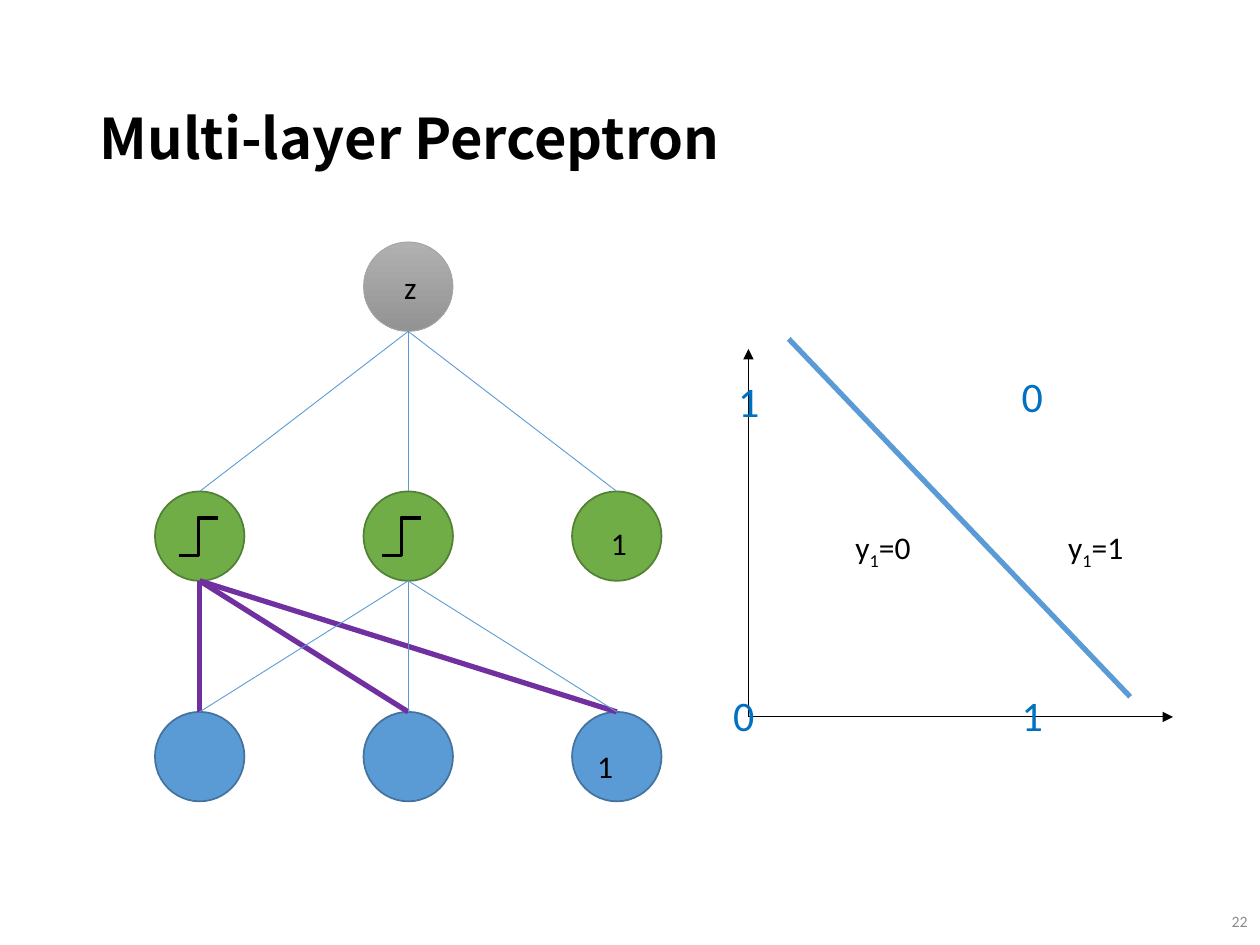
from dataclasses import dataclass

from lxml import etree
from pptx import Presentation
from pptx import util as u
from pptx.dml.color import RGBColor
from pptx.enum import shapes, text
from pptx.oxml.ns import qn


@dataclass(frozen=True)
class Theme:
    title_font: str = "Noto Sans CJK KR"
    body_font: str = "Calibri"
    black: str = "000000"
    muted: str = "8C8C8C"
    blue: str = "5B9BD5"
    blue_edge: str = "43739E"
    green: str = "70AD47"
    green_edge: str = "538035"
    purple: str = "7030A0"
    value: str = "0070C0"
    gray_top: str = "B0B0B0"
    gray_edge: str = "A5A5A5"
    gray_bottom: str = "939393"
    title_size: float = 32
    value_size: float = 24
    label_size: float = 18
    number_size: float = 9
    thin: float = 0.5
    edge: float = 1
    step: float = 2
    thick: float = 3


@dataclass(frozen=True)
class Label:
    left: float
    top: float
    width: float
    height: float
    words: str
    size: float
    color: str
    wrap: bool = False


THEME = Theme()
DIAMETER = 0.71
COLUMNS = (1.585, 3.24, 4.895)  # node centres
OUTPUT_TOP, HIDDEN_TOP, INPUT_TOP = 1.92, 3.9, 5.65
ORIGIN = (5.94, 5.69)

LABELS = (
    Label(3.11, 2.08, 0.3, 0.4, "z", THEME.label_size, THEME.black, True),
    Label(4.64, 5.88, 0.43, 0.4, "1", THEME.label_size, THEME.black, True),
    Label(4.75, 4.11, 0.34, 0.4, "1", THEME.label_size, THEME.black),
    Label(8.01, 2.89, 0.39, 0.5, "0", THEME.value_size, THEME.value),
    Label(5.76, 2.93, 0.39, 0.5, "1", THEME.value_size, THEME.value),
    Label(8.01, 5.42, 0.39, 0.5, "1", THEME.value_size, THEME.value),
    Label(5.72, 5.42, 0.45, 0.5, "0", THEME.value_size, THEME.value, True),
)


def rgb(color: str) -> RGBColor:
    return RGBColor.from_string(color)


def style_line(shape, color: str, width: float) -> None:
    shape.line.color.rgb = rgb(color)
    shape.line.width = u.Pt(width)


def style_font(font, name: str, size: float, color: str) -> None:
    font.name, font.size = name, u.Pt(size)
    font.color.rgb = rgb(color)


def add_node(slide, center: float, top: float, edge: str, width: float):
    shape = slide.shapes.add_shape(
        shapes.MSO_SHAPE.OVAL, u.Inches(center - DIAMETER / 2), u.Inches(top),
        u.Inches(DIAMETER), u.Inches(DIAMETER))
    shape.shadow.inherit = False
    style_line(shape, edge, width)
    return shape


def add_layer(slide, top: float, fill: str, edge: str) -> None:
    for center in COLUMNS:
        node = add_node(slide, center, top, edge, THEME.edge)
        node.fill.solid()
        node.fill.fore_color.rgb = rgb(fill)


def add_line(slide, start: tuple[float, float], end: tuple[float, float],
             color: str, width: float, arrow: bool = False) -> None:
    line = slide.shapes.add_connector(
        shapes.MSO_CONNECTOR.STRAIGHT, *(u.Inches(value) for value in start + end))
    style_line(line, color, width)
    if arrow:
        etree.SubElement(line.line._get_or_add_ln(), qn("a:tailEnd"), type="triangle")
    etree.SubElement(line._element.spPr, qn("a:effectLst"))


def add_fan(slide, lower_top: float, upper: float, upper_top: float,
            color: str, width: float) -> None:
    """Join every node of the lower layer to one node above it."""
    for center in COLUMNS:
        add_line(slide, (center, lower_top), (upper, upper_top + DIAMETER), color, width)


def add_step(slide, left: float, top: float) -> None:
    width, height = u.Inches(0.31), u.Inches(0.3)
    x, y = u.Inches(left), u.Inches(top)
    middle, bottom = x + width // 2, y + height
    builder = slide.shapes.build_freeform(x + width, y)
    builder.add_line_segments([(middle, y), (middle, bottom), (x, bottom)], close=False)
    shape = builder.convert_to_shape()
    shape.shadow.inherit = False
    shape.fill.background()
    style_line(shape, THEME.black, THEME.step)


def add_label(slide, label: Label):
    box = slide.shapes.add_textbox(
        *(u.Inches(value) for value in (label.left, label.top, label.width, label.height)))
    box.text_frame.word_wrap = label.wrap
    paragraph = box.text_frame.paragraphs[0]
    if label.words:
        paragraph.add_run().text = label.words
    style_font(paragraph.font, THEME.body_font, label.size, label.color)
    return box


def add_region(slide, left: float, result: str) -> None:
    box = add_label(slide, Label(left, 4.14, 0.73, 0.4, "", THEME.label_size, THEME.black))
    paragraph = box.text_frame.paragraphs[0]
    for words, baseline in (("y", 0), ("1", -25000), (result, 0)):
        run = paragraph.add_run()
        run.text = words
        if baseline:
            run._r.get_or_add_rPr().set("baseline", str(baseline))


def add_title(slide) -> None:
    title = slide.shapes.title
    title.left, title.top = u.Inches(0.69), u.Inches(0.4)
    title.width, title.height = u.Inches(8.62), u.Inches(1.45)
    title.text_frame.text = "Multi-layer Perceptron"
    title.text_frame.vertical_anchor = text.MSO_ANCHOR.MIDDLE
    paragraph = title.text_frame.paragraphs[0]
    paragraph.alignment = text.PP_ALIGN.LEFT
    paragraph.line_spacing = 0.9
    style_font(paragraph.font, THEME.title_font, THEME.title_size, THEME.black)
    paragraph.font.bold = True


def add_network(slide) -> None:
    # Output node with a vertical gradient
    output = add_node(slide, COLUMNS[1], OUTPUT_TOP, THEME.gray_edge, THEME.thin)
    output.fill.gradient()
    output.fill.gradient_angle = 270
    for stop, color in zip(output.fill.gradient_stops, (THEME.gray_top, THEME.gray_bottom)):
        stop.color.rgb = rgb(color)
    # Input and hidden layers
    add_layer(slide, INPUT_TOP, THEME.blue, THEME.blue_edge)
    add_layer(slide, HIDDEN_TOP, THEME.green, THEME.green_edge)
    # Weights
    add_fan(slide, INPUT_TOP, COLUMNS[0], HIDDEN_TOP, THEME.purple, THEME.thick)
    add_fan(slide, INPUT_TOP, COLUMNS[1], HIDDEN_TOP, THEME.blue, THEME.thin)
    add_fan(slide, HIDDEN_TOP, COLUMNS[1], OUTPUT_TOP, THEME.blue, THEME.thin)
    # Step activations
    for left in (1.42, 3.03):
        add_step(slide, left, 4.11)


def add_plot(slide) -> None:
    for tip in ((ORIGIN[0], 2.77), (9.31, ORIGIN[1])):
        add_line(slide, ORIGIN, tip, THEME.black, THEME.thin, arrow=True)
    # Decision boundary and its two sides
    add_line(slide, (6.26, 2.69), (8.97, 5.53), THEME.blue, THEME.thick)
    add_region(slide, 8.38, "=1")
    add_region(slide, 6.69, "=0")


def main() -> None:
    presentation = Presentation()
    presentation.slide_width, presentation.slide_height = u.Inches(10), u.Inches(7.5)
    slide = presentation.slides.add_slide(presentation.slide_layouts[5])
    add_title(slide)
    add_network(slide)
    add_plot(slide)
    for label in LABELS:
        add_label(slide, label)
    # Slide number
    number = add_label(
        slide, Label(9.46, 7.11, 0.54, 0.4, "22", THEME.number_size, THEME.muted, True))
    number.text_frame.vertical_anchor = text.MSO_ANCHOR.MIDDLE
    number.text_frame.paragraphs[0].alignment = text.PP_ALIGN.RIGHT
    presentation.save("out.pptx")


if __name__ == "__main__":
    main()
